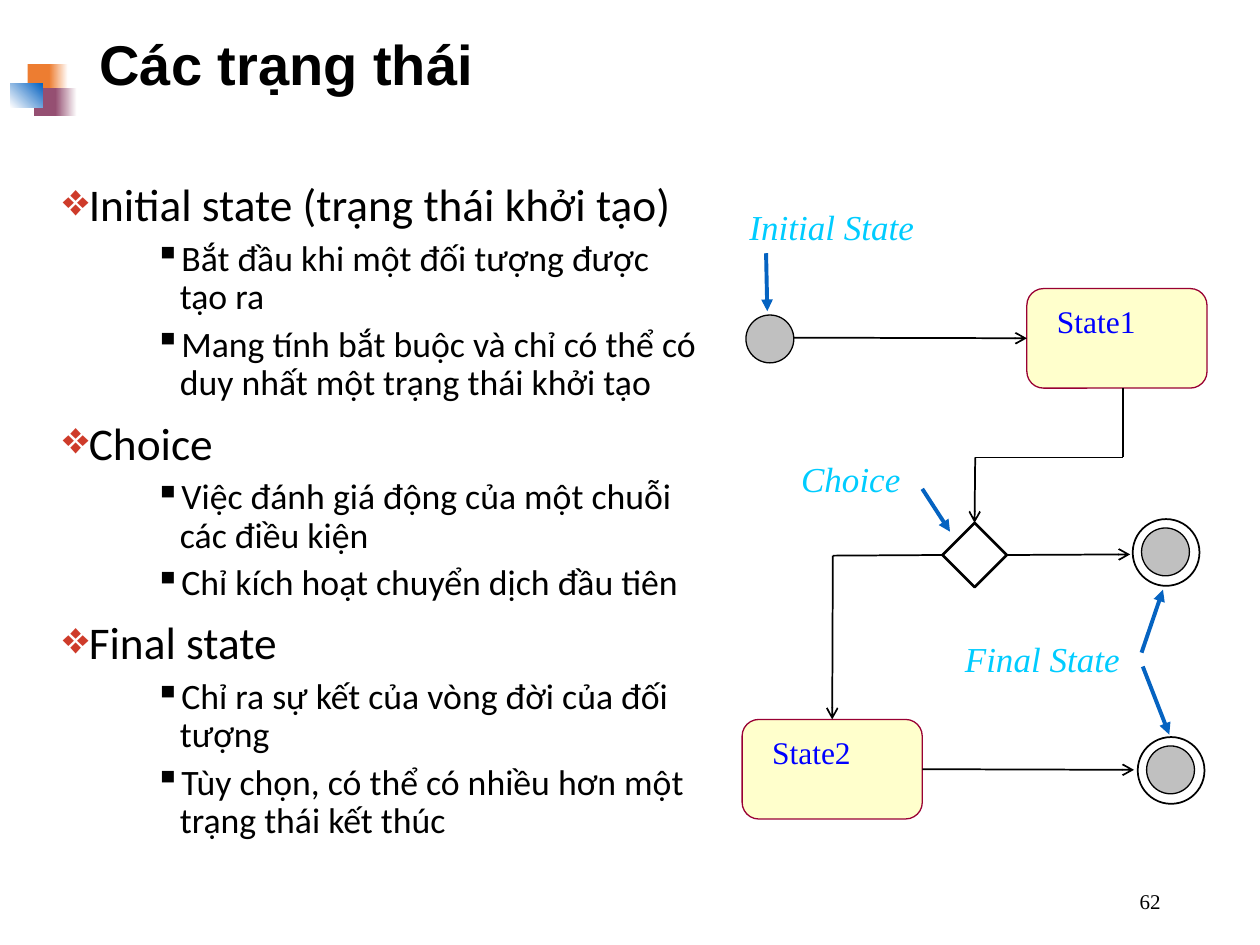
from dataclasses import dataclass
from typing import NamedTuple, Optional, Union

from lxml.etree import SubElement
from pptx import Presentation
from pptx.dml.color import RGBColor
from pptx.enum.shapes import MSO_CONNECTOR, MSO_SHAPE
from pptx.enum.text import MSO_ANCHOR, PP_ALIGN
from pptx.oxml.ns import qn
from pptx.shapes.autoshape import Shape
from pptx.util import Pt

SCALE = 9144  # EMU in one px, 100 px to the inch
TOP, LEFT, RIGHT = 0, 1, 3


@dataclass(frozen=True)
class Theme:
    black: str = "000000"
    white: str = "FFFFFF"
    orange: str = "ED7D31"
    plum: str = "954F72"
    blue: str = "0563C1"
    red: str = "CE3B2A"
    cream: str = "FFFFCC"
    wine: str = "990033"
    gray: str = "C0C0C0"
    ink: str = "0000FF"
    cyan: str = "00CCFF"
    head: str = "Arial"
    body: str = "Calibri"
    serif: str = "Times New Roman"
    title_pt: float = 32
    main_pt: float = 25.9
    sub_pt: float = 20.4
    note_pt: float = 20
    state_pt: float = 18
    page_pt: float = 12


THEME = Theme()


class Box(NamedTuple):
    x: int
    y: int
    w: int
    h: int


class Point(NamedTuple):
    x: int
    y: int


class Joint(NamedTuple):
    shape: Shape
    side: int


class Bullet(NamedTuple):
    level: int
    mark: str
    color: str
    size: float
    left: int
    before: int


class Link(NamedTuple):
    start: Union[Point, Joint]
    end: Union[Point, Joint]
    tip: Optional[str] = None


MAIN = Bullet(0, "❖", THEME.red, THEME.main_pt, 20, 10)
SUB = Bullet(1, "▪", THEME.black, THEME.sub_pt, 93, 5)
HANG = 20

POINTS = [
    (MAIN, "Initial state (trạng thái khởi tạo)"),
    (SUB, "Bắt đầu khi một đối tượng được tạo ra"),
    (SUB, "Mang tính bắt buộc và chỉ có thể có duy nhất một trạng thái khởi tạo"),
    (MAIN, "Choice"),
    (SUB, "Việc đánh giá động của một chuỗi các điều kiện"),
    (SUB, "Chỉ kích hoạt chuyển dịch đầu tiên"),
    (MAIN, "Final state"),
    (SUB, "Chỉ ra sự kết của vòng đời của đối tượng"),
    (SUB, "Tùy chọn, có thể có nhiều hơn một trạng thái kết thúc"),
]


def px(*sizes: int) -> list[int]:
    return [size * SCALE for size in sizes]


def style(para, face: str, size: float, color: str, **flags: bool) -> None:
    font = para.font
    font.name, font.size = face, Pt(size)
    font.color.rgb = RGBColor.from_string(color)
    for flag, value in flags.items():
        setattr(font, flag, value)


def add_node(shapes, kind: MSO_SHAPE, box: Box, fill: Optional[str] = None,
             line: Optional[str] = None, width: float = 0.75) -> Shape:
    node = shapes.add_shape(kind, *px(*box))
    node.shadow.inherit = False
    if fill:
        node.fill.solid()
        node.fill.fore_color.rgb = RGBColor.from_string(fill)
    else:
        node.fill.background()
    if line:
        node.line.color.rgb = RGBColor.from_string(line)
        node.line.width = Pt(width)
    else:
        node.line.fill.background()
    return node


def add_fade(shapes, box: Box, first: str, last: str, angle: int) -> None:
    node = add_node(shapes, MSO_SHAPE.RECTANGLE, box)
    node.fill.gradient()
    node.fill.gradient_angle = angle
    for stop, color in zip(node.fill.gradient_stops, (first, last)):
        stop.color.rgb = RGBColor.from_string(color)


def add_text(shapes, box: Box, text: str, size: float, color: str,
             wrap: bool = True, **flags: bool) -> Shape:
    label = shapes.add_textbox(*px(*box))
    label.text_frame.word_wrap = wrap
    para = label.text_frame.paragraphs[0]
    para.text = text
    style(para, THEME.serif, size, color, **flags)
    return label


def add_state(shapes, x: int, y: int, name: str) -> Shape:
    node = add_node(shapes, MSO_SHAPE.ROUNDED_RECTANGLE, Box(x, y, 143, 79),
                    THEME.cream, THEME.wine)
    node.adjustments[0] = 0.167
    add_text(shapes, Box(x + 14, y + 6, 117, 40), name, THEME.state_pt, THEME.ink)
    return node


def add_dot(shapes, x: int, y: int) -> None:
    add_node(shapes, MSO_SHAPE.OVAL, Box(x, y, 38, 38), THEME.gray, THEME.black)


def add_final(shapes, x: int, y: int) -> None:
    add_dot(shapes, x + 7, y + 7)
    add_node(shapes, MSO_SHAPE.OVAL, Box(x, y, 53, 53), None, THEME.black, 1)


def add_link(shapes, link: Link, color: str, width: float) -> None:
    spots = [end if isinstance(end, Point) else Point(0, 0) for end in link[:2]]
    line = shapes.add_connector(MSO_CONNECTOR.STRAIGHT, *px(*spots[0], *spots[1]))
    for end, join in zip(link[:2], (line.begin_connect, line.end_connect)):
        if isinstance(end, Joint):
            join(end.shape, end.side)
    line.line.color.rgb = RGBColor.from_string(color)
    line.line.width = Pt(width)
    props = line._element.spPr
    if link.tip:
        SubElement(props.find(qn("a:ln")), qn("a:tailEnd"), type=link.tip)
    SubElement(props, qn("a:effectLst"))


def add_points(shapes, box: Box) -> None:
    frame = shapes.add_textbox(*px(*box)).text_frame
    frame.word_wrap = True
    for index, (kind, text) in enumerate(POINTS):
        para = frame.add_paragraph() if index else frame.paragraphs[0]
        para.text, para.level, para.line_spacing = text, kind.level, 0.9
        if index:
            para.space_before = Pt(kind.before)
        props = para._p.get_or_add_pPr()
        props.set("marL", str(kind.left * SCALE))
        props.set("indent", str(-HANG * SCALE))
        tint = SubElement(props, qn("a:buClr"))
        SubElement(tint, qn("a:srgbClr"), val=kind.color)
        SubElement(props, qn("a:buChar"), char=kind.mark)
        style(para, THEME.body, kind.size, THEME.black)


def main() -> None:
    deck = Presentation()
    deck.slide_width, deck.slide_height = px(1000, 750)
    slide = deck.slides.add_slide(deck.slide_layouts[5])
    shapes = slide.shapes

    # Corner squares
    badge = shapes.add_group_shape().shapes
    add_node(badge, MSO_SHAPE.RECTANGLE, Box(22, 51, 20, 22), THEME.orange)
    add_fade(badge, Box(39, 51, 15, 22), THEME.orange, THEME.white, 0)
    add_node(badge, MSO_SHAPE.RECTANGLE, Box(27, 70, 19, 22), THEME.plum)
    add_fade(badge, Box(44, 70, 17, 22), THEME.plum, THEME.white, 0)
    add_fade(badge, Box(8, 66, 26, 19), THEME.white, THEME.blue, 45)

    # Title
    title = shapes.title
    title.left, title.top, title.width, title.height = px(69, 13, 862, 81)
    title.text_frame.vertical_anchor = MSO_ANCHOR.MIDDLE
    para = title.text_frame.paragraphs[0]
    para.text, para.alignment, para.line_spacing = "Các trạng thái", PP_ALIGN.LEFT, 0.9
    style(para, THEME.head, THEME.title_pt, THEME.black, bold=True)

    # Bullet list and page number
    add_points(shapes, Box(40, 140, 527, 552))
    page = add_text(shapes, Box(706, 695, 225, 40), "62", THEME.page_pt, THEME.black)
    page.text_frame.vertical_anchor = MSO_ANCHOR.MIDDLE
    page.text_frame.paragraphs[0].alignment = PP_ALIGN.RIGHT

    # States
    first = add_state(shapes, 815, 229, "State1")
    second = add_state(shapes, 589, 571, "State2")
    choice = add_node(shapes, MSO_SHAPE.DIAMOND, Box(748, 415, 51, 51),
                      None, THEME.black, 1.5)
    add_dot(shapes, 592, 250)
    add_final(shapes, 899, 412)
    add_final(shapes, 903, 585)

    # Transitions
    for link in (
        Link(Point(630, 268), Joint(first, LEFT), "arrow"),
        Link(Point(891, 308), Point(891, 363)),
        Link(Point(891, 363), Point(774, 363)),
        Link(Point(774, 363), Joint(choice, TOP), "arrow"),
        Link(Joint(choice, RIGHT), Point(897, 440), "arrow"),
        Link(Joint(choice, LEFT), Point(661, 441)),
        Link(Point(661, 441), Joint(second, TOP), "arrow"),
        Link(Joint(second, RIGHT), Point(900, 611), "arrow"),
    ):
        add_link(shapes, link, THEME.black, 1)

    # Notes and their pointers
    for box, text in (
        (Box(585, 158, 157, 43), "Initial State"),
        (Box(626, 358, 107, 43), "Choice"),
        (Box(756, 501, 153, 43), "Final State"),
    ):
        add_text(shapes, box, text, THEME.note_pt, THEME.cyan, wrap=False, italic=True)
    for start, end in (
        (Point(608, 201), Point(609, 247)),
        (Point(732, 388), Point(754, 422)),
        (Point(907, 529), Point(928, 583)),
        (Point(906, 518), Point(923, 468)),
    ):
        add_link(shapes, Link(start, end, "triangle"), THEME.blue, 2.25)

    deck.save("out.pptx")


if __name__ == "__main__":
    main()
